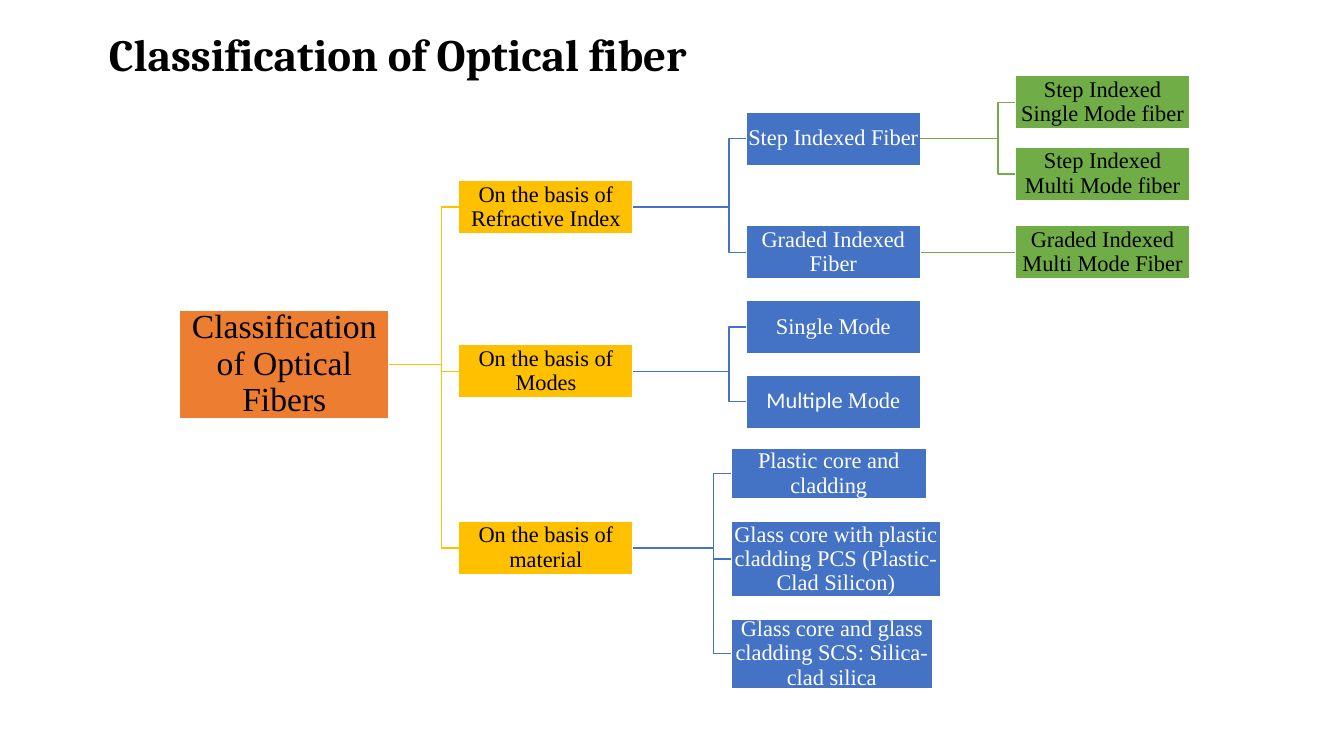
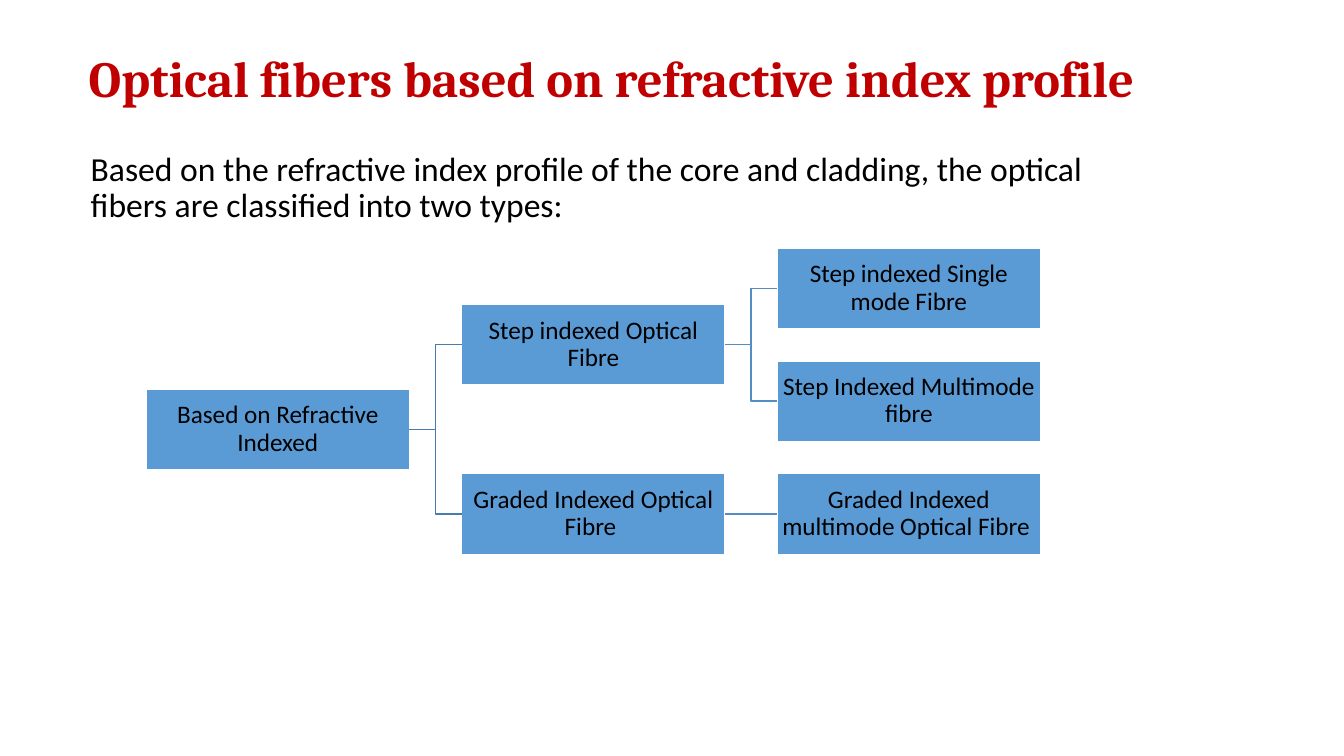
from dataclasses import dataclass, replace

from lxml import etree
from pptx import Presentation
from pptx.dml import color
from pptx.enum import shapes, text
from pptx.oxml import ns
from pptx.util import Inches, Pt

BLACK, WHITE, RED = "000000", "FFFFFF", "C00000"
BLUE, GOLD, GREEN, ORANGE, SKY = "4472C4", "FFC000", "70AD47", "ED7D31", "5B9BD5"
SERIF, SANS, HEADING = "Times New Roman", "Calibri", "Cambria"


@dataclass(frozen=True)
class Level:
    left: float
    width: float
    height: float
    fill: str
    ink: str = BLACK
    link: str = BLUE
    size: int = 16
    font: str = SERIF
    inset: float = 0.01


@dataclass(frozen=True)
class Node:
    level: Level
    top: float
    label: str
    children: tuple["Node", ...] = ()
    sans_lead: str = ""

    @property
    def middle(self) -> float:
        return self.top + self.level.height / 2

    @property
    def right(self) -> float:
        return self.level.left + self.level.width


def rgb(value: str) -> color.RGBColor:
    return color.RGBColor.from_string(value)


def add_run(paragraph, words: str, font: str, size: int, ink: str, bold: bool = False) -> None:
    run = paragraph.add_run()
    run.text = words
    run.font.name = font
    run.font.size = Pt(size)
    run.font.bold = bold
    run.font.color.rgb = rgb(ink)


def place(shape, left: float, top: float, width: float, height: float) -> None:
    shape.left, shape.top = Inches(left), Inches(top)
    shape.width, shape.height = Inches(width), Inches(height)


def set_title(slide, words: str, box: tuple[float, float, float, float], size: int, ink: str) -> None:
    title = slide.shapes.title
    place(title, *box)
    frame = title.text_frame
    frame.auto_size = text.MSO_AUTO_SIZE.NONE
    frame.vertical_anchor = text.MSO_ANCHOR.MIDDLE
    frame.word_wrap = True
    paragraph = frame.paragraphs[0]
    paragraph.alignment = text.PP_ALIGN.LEFT
    add_run(paragraph, words, HEADING, size, ink, bold=True)


def set_body(slide, words: str) -> None:
    body = slide.placeholders[1]
    place(body, 0.8, 1.46, 10.83, 0.9)
    frame = body.text_frame
    frame.auto_size = text.MSO_AUTO_SIZE.NONE
    frame.word_wrap = True
    paragraph = frame.paragraphs[0]
    properties = paragraph._p.get_or_add_pPr()
    properties.set("marL", "0")
    properties.set("indent", "0")
    etree.SubElement(properties, ns.qn("a:buNone"))
    paragraph.line_spacing = 0.9
    paragraph.space_before = Pt(0)
    add_run(paragraph, words, SANS, 24, BLACK)


def draw_box(slide, node: Node):
    level = node.level
    box = slide.shapes.add_shape(
        shapes.MSO_SHAPE.RECTANGLE,
        Inches(level.left), Inches(node.top), Inches(level.width), Inches(level.height),
    )
    box.shadow.inherit = False
    box.fill.solid()
    box.fill.fore_color.rgb = rgb(level.fill)
    box.line.color.rgb = rgb(WHITE)
    box.line.width = Pt(1)
    frame = box.text_frame
    frame.word_wrap = True
    frame.vertical_anchor = text.MSO_ANCHOR.MIDDLE
    frame.margin_left = frame.margin_right = Inches(level.inset)
    frame.margin_top = frame.margin_bottom = Inches(level.inset)
    paragraph = frame.paragraphs[0]
    paragraph.alignment = text.PP_ALIGN.CENTER
    paragraph.line_spacing = 0.9
    if node.sans_lead:
        add_run(paragraph, node.sans_lead, SANS, level.size, level.ink)
    add_run(paragraph, node.label, level.font, level.size, level.ink)
    return box


def draw_elbow(slide, parent: Node, child: Node, bend: float):
    turn = Inches(child.level.left - bend)
    start, end = Inches(parent.middle), Inches(child.middle)
    outline = slide.shapes.build_freeform(Inches(parent.right), start)
    outline.add_line_segments(
        [(turn, start), (turn, end), (Inches(child.level.left), end)], close=False
    )
    elbow = outline.convert_to_shape()
    elbow.shadow.inherit = False
    elbow.fill.background()
    return elbow


def draw_straight(slide, parent_box, child_box):
    link = slide.shapes.add_connector(shapes.MSO_CONNECTOR.STRAIGHT, 0, 0, 0, 0)
    link.begin_connect(parent_box, 3)
    link.end_connect(child_box, 1)
    etree.SubElement(link._element.spPr, ns.qn("a:effectLst"))
    return link


def draw_tree(slide, node: Node, bend: float):
    box = draw_box(slide, node)
    for child in node.children:
        child_box = draw_tree(slide, child, bend)
        if abs(node.middle - child.middle) < 0.005:
            link = draw_straight(slide, box, child_box)
        else:
            link = draw_elbow(slide, node, child, bend)
        link.line.color.rgb = rgb(node.level.link)
        link.line.width = Pt(1)
    return box


def centred_parent(level: Level, label: str, *children: Node) -> Node:
    middle = (children[0].middle + children[-1].middle) / 2
    return Node(level, middle - level.height / 2, label, children)


def classification_tree() -> Node:
    root = Level(1.78, 2.08, 1.07, ORANGE, link=GOLD, size=24, inset=0.02)
    basis = Level(4.55, 1.73, 0.53, GOLD)
    kind = Level(7.4, 1.73, 0.53, BLUE, ink=WHITE, link=GREEN)
    variant = Level(10.07, 1.73, 0.53, GREEN)
    plastic = replace(kind, left=7.25, width=1.94, height=0.5)
    plastic_clad = replace(plastic, width=2.08, height=0.75)
    glass = replace(plastic, width=2, height=0.69)

    return Node(root, 3.08, "Classification of Optical Fibers", (
        Node(basis, 1.79, "On the basis of Refractive Index", (
            Node(kind, 1.11, "Step Indexed Fiber", (
                Node(variant, 0.75, "Step Indexed Single Mode fiber"),
                Node(variant, 1.46, "Step Indexed Multi Mode fiber"),
            )),
            Node(kind, 2.24, "Graded Indexed Fiber", (
                Node(variant, 2.24, "Graded Indexed Multi Mode Fiber"),
            )),
        )),
        Node(basis, 3.42, "On the basis of Modes", (
            Node(kind, 2.98, "Single Mode"),
            Node(kind, 3.72, "Mode", sans_lead="Multiple "),
        )),
        Node(basis, 5.17, "On the basis of material", (
            Node(plastic, 4.45, "Plastic core and cladding"),
            Node(plastic_clad, 5.17, "Glass core with plastic cladding PCS (Plastic-Clad Silicon)"),
            Node(glass, 6.14, "Glass core and glass cladding SCS: Silica-clad silica"),
        )),
    ))


def refractive_tree() -> Node:
    root, profile, mode = (
        Level(1.45 + 3.13 * column, 2.61, 0.8, SKY, link=link, size=18, font=SANS)
        for column, link in enumerate(("497CAB", "538DC1", "538DC1"))
    )
    single, multi, graded = (
        Node(mode, 2.46 + 1.12 * row, label)
        for row, label in enumerate((
            "Step indexed Single mode Fibre",
            "Step Indexed Multimode fibre",
            "Graded Indexed multimode Optical Fibre ",
        ))
    )
    return centred_parent(
        root, "Based on Refractive Indexed",
        centred_parent(profile, "Step indexed Optical Fibre", single, multi),
        centred_parent(profile, "Graded Indexed Optical Fibre ", graded),
    )


def main() -> None:
    deck = Presentation()
    deck.slide_width, deck.slide_height = Inches(13.33), Inches(7.5)

    classification = deck.slides.add_slide(deck.slide_layouts[5])
    set_title(classification, "Classification of Optical fiber", (0.98, 0.21, 6.23, 0.64), 32, BLACK)
    draw_tree(classification, classification_tree(), bend=0.17)

    refractive = deck.slides.add_slide(deck.slide_layouts[1])
    set_title(
        refractive, "Optical fibers based on refractive index profile",
        (0.78, 0.52, 11.5, 0.5), 36, RED,
    )
    set_body(
        refractive,
        "Based on the refractive index profile of the core and cladding, "
        "the optical fibers are classified into two types:",
    )
    draw_tree(refractive, refractive_tree(), bend=0.26)

    deck.save("out.pptx")


if __name__ == "__main__":
    main()
